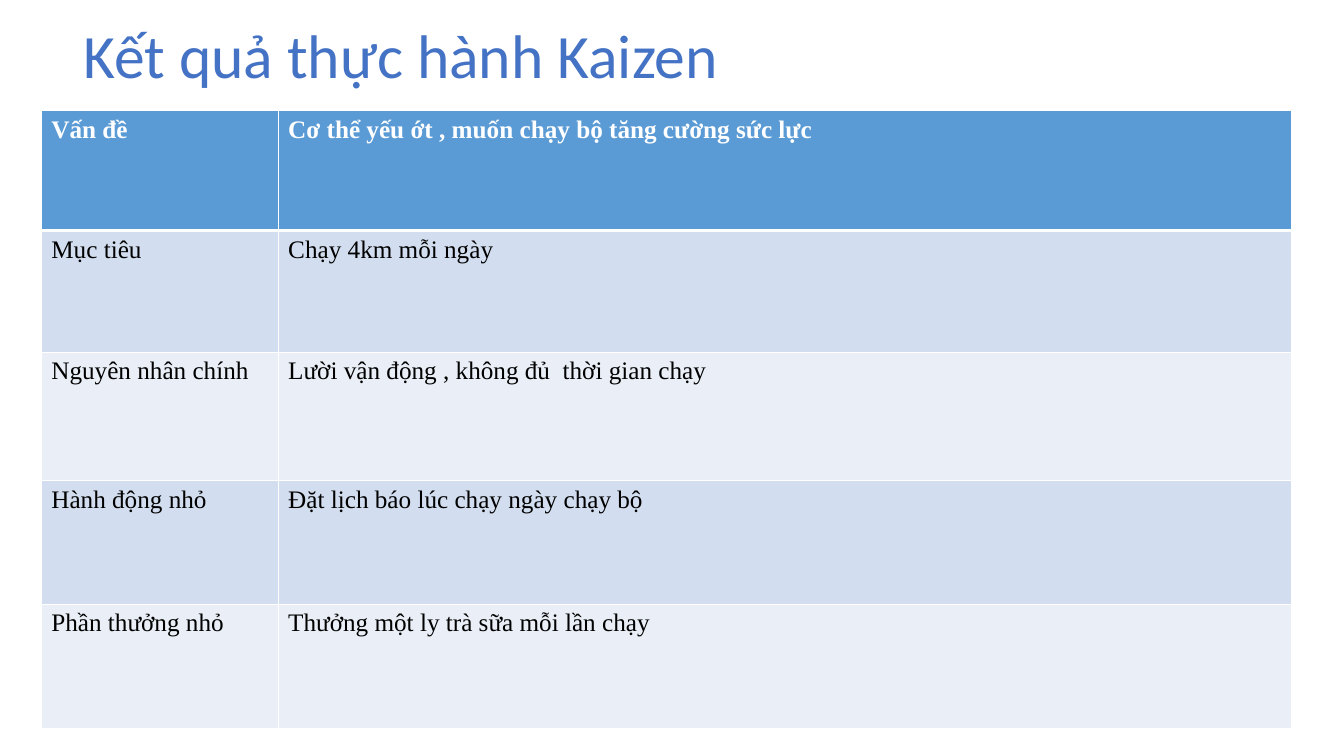
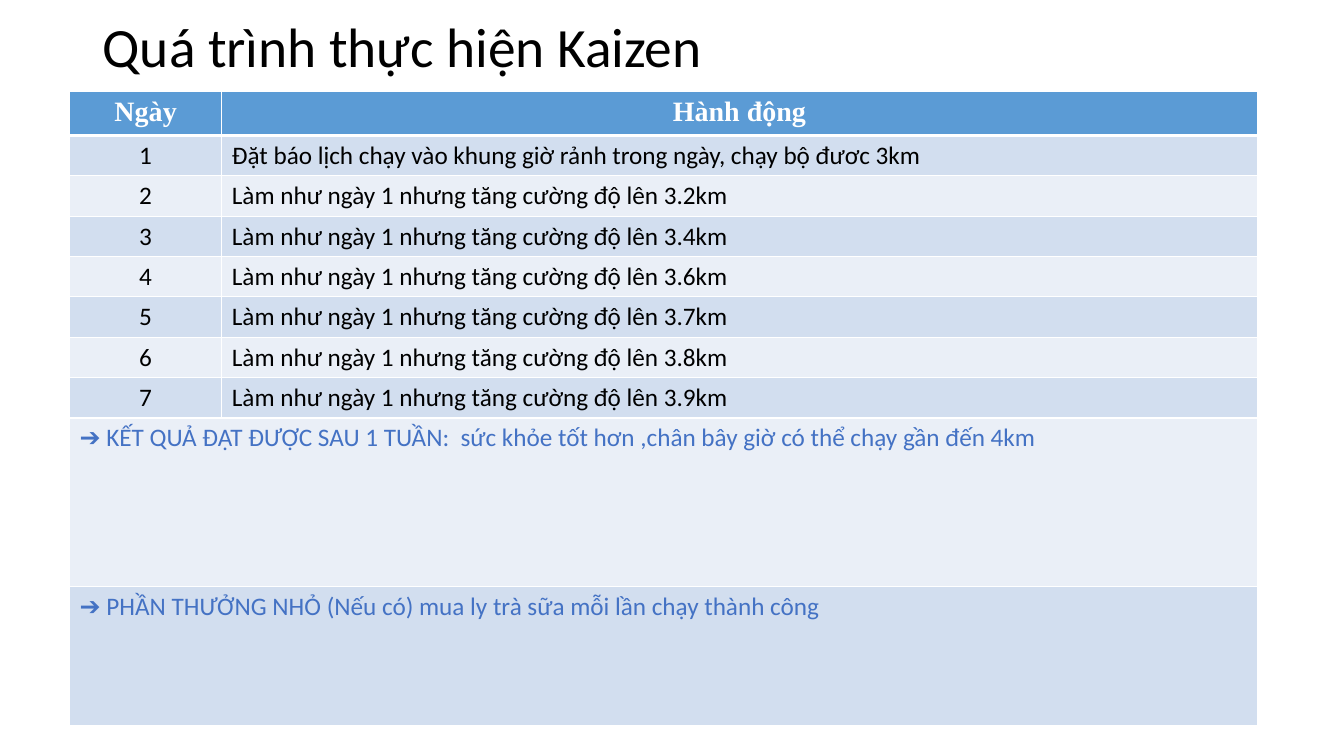
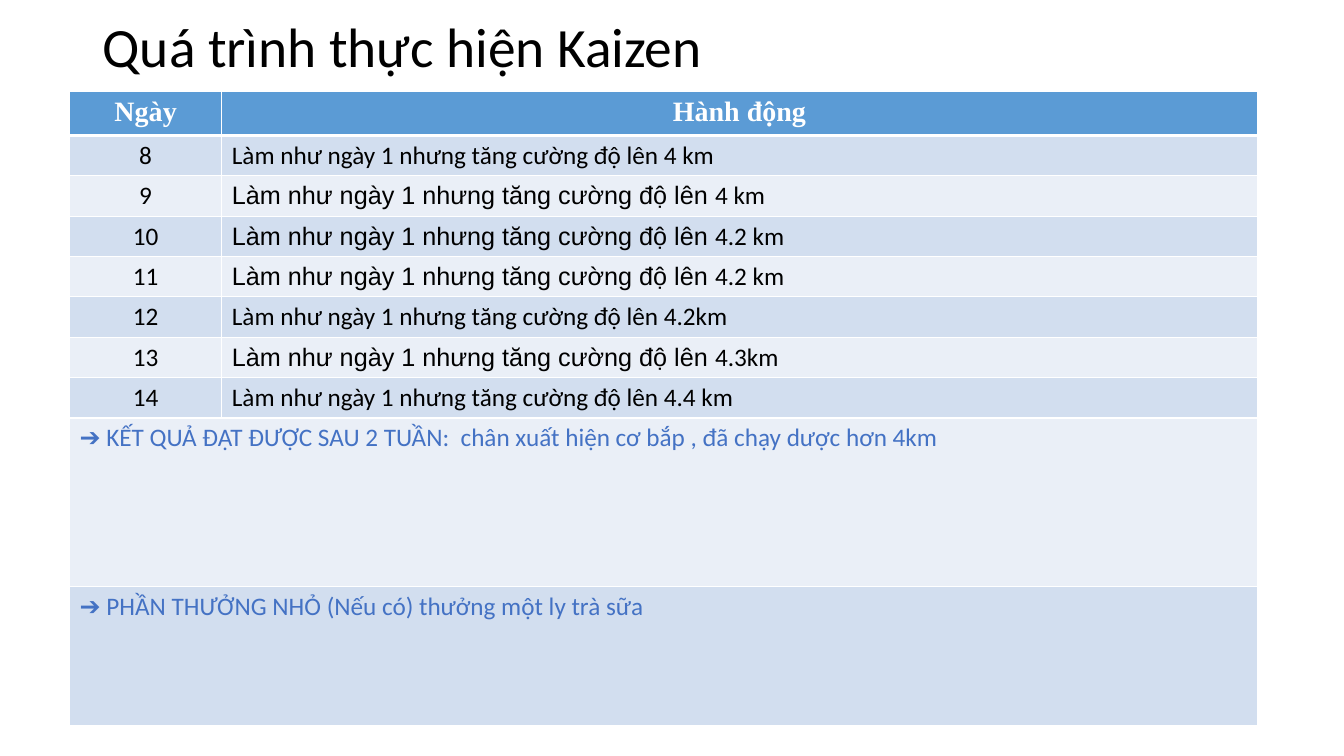
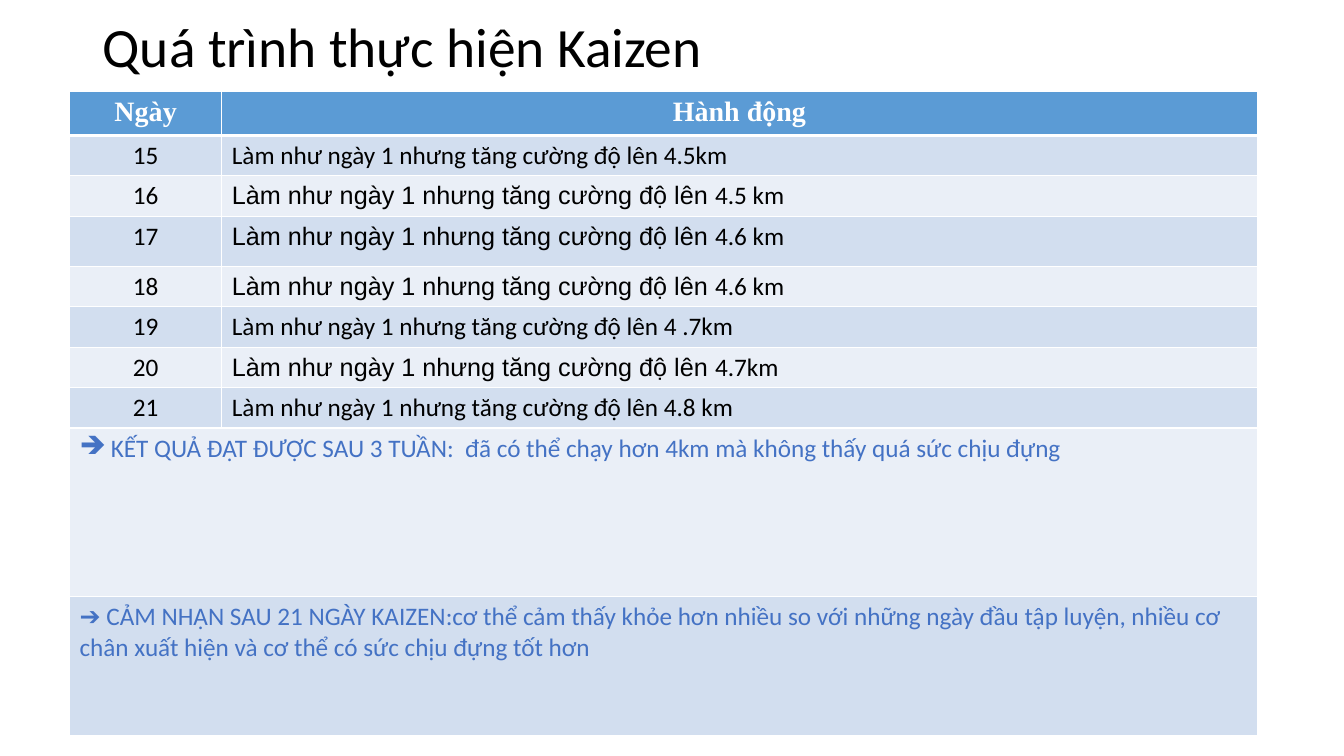
import dataclasses
import typing

import pptx
import pptx.dml.color
import pptx.enum.text
import pptx.oxml
import pptx.oxml.ns
import pptx.util

Cm = pptx.util.Cm
Pt = pptx.util.Pt
MID = pptx.enum.text.MSO_ANCHOR.MIDDLE
CENTER = pptx.enum.text.PP_ALIGN.CENTER


# Shared look
@dataclasses.dataclass(frozen=True)
class Theme:
    blue: str = "4472C4"
    head: str = "5B9BD5"
    bands: tuple[str, str] = ("D2DEEF", "EAEFF7")
    white: str = "FFFFFF"
    black: str = "000000"
    sans: str = "Calibri"
    serif: str = "Times New Roman"
    plain: str = "Arial"
    large: float = 44
    title: float = 39.6
    label: float = 20
    body: float = 18
    thin: float = 1
    thick: float = 3


THEME = Theme()


class Style(typing.NamedTuple):
    size: float
    face: str
    color: str
    bold: bool = False


class Box(typing.NamedTuple):
    left: float
    top: float
    width: float
    height: float


class Piece(typing.NamedTuple):
    text: str
    face: str = ""  # empty means the face of the style


class Entry(typing.NamedTuple):
    pieces: list[Piece]
    style: Style
    center: bool = False
    bullet: str = ""
    span: bool = False


class Row(typing.NamedTuple):
    height: float
    cells: list[Entry]


class Week(typing.NamedTuple):
    start: int
    acts: list[list[Piece]]
    result: str
    reward: str
    bullet: str = ""
    tall: int = 0  # day whose row is higher


GOAL_HEAD = Style(THEME.body, THEME.serif, THEME.white, True)
GOAL_TEXT = Style(THEME.body, THEME.serif, THEME.black)
DAY_HEAD = Style(THEME.label, THEME.serif, THEME.white, True)
DAY_TEXT = Style(THEME.body, THEME.sans, THEME.black)
NOTE = Style(THEME.body, THEME.sans, THEME.blue)


# Text and cells
def add_run(para, piece: Piece, style: Style) -> None:
    run = para.add_run()
    run.text = piece.text
    font = run.font
    font.name = piece.face or style.face
    font.size = Pt(style.size)
    font.bold = style.bold
    font.color.rgb = pptx.dml.color.RGBColor.from_string(style.color)


def add_title(slide, text: str, box: Box, style: Style) -> None:
    frame = slide.shapes.add_textbox(*map(Cm, box)).text_frame
    frame.word_wrap = True
    frame.vertical_anchor = MID
    para = frame.paragraphs[0]
    para.line_spacing = 0.9
    add_run(para, Piece(text), style)


def add_mark(para, mark: str) -> None:
    props = para._p.get_or_add_pPr()
    indent = Cm(0.79)
    props.set("marL", str(indent))
    props.set("indent", str(-indent))
    space = pptx.oxml.ns.nsdecls("a")
    props.append(pptx.oxml.parse_xml(f'<a:buChar {space} char="{mark}"/>'))


def edge_cell(cell, top: float, base: float) -> None:
    props = cell._tc.get_or_add_tcPr()
    space = pptx.oxml.ns.nsdecls("a")
    sides = {"L": THEME.thin, "R": THEME.thin, "T": top, "B": base}
    for side, width in sides.items():
        props.append(pptx.oxml.parse_xml(
            f'<a:ln{side} {space} w="{Pt(width)}"><a:solidFill>'
            f'<a:srgbClr val="{THEME.white}"/></a:solidFill></a:ln{side}>'))


def fill_cell(cell, index: int) -> None:
    edge_cell(cell, THEME.thick if index == 1 else THEME.thin,
              THEME.thick if index == 0 else THEME.thin)
    color = THEME.bands[(index - 1) % 2] if index else THEME.head
    cell.fill.solid()
    cell.fill.fore_color.rgb = pptx.dml.color.RGBColor.from_string(color)


def add_grid(slide, left: float, top: float, widths: list[float],
             rows: list[Row]) -> None:
    high = sum(row.height for row in rows)
    table = slide.shapes.add_table(
        len(rows), len(widths), Cm(left), Cm(top),
        Cm(sum(widths)), Cm(high)).table
    table.horz_banding = False
    table.first_row = False
    for col, width in zip(table.columns, widths):
        col.width = Cm(width)
    for index, row in enumerate(rows):
        table.rows[index].height = Cm(row.height)
        for col in range(len(widths)):
            fill_cell(table.cell(index, col), index)
        for col, entry in enumerate(row.cells):
            cell = table.cell(index, col)
            if entry.span:
                cell.merge(table.cell(index, len(widths) - 1))
            para = cell.text_frame.paragraphs[0]
            if entry.bullet:
                add_mark(para, entry.bullet)
            if entry.center:
                para.alignment = CENTER
            for piece in entry.pieces:
                add_run(para, piece, entry.style)


# Goal slide
GOALS = [
    (3.02, "Vấn đề", "Cơ thể yếu ớt , muốn chạy bộ tăng cường sức lực"),
    (3.07, "Mục tiêu", "Chạy 4km mỗi ngày"),
    (3.23, "Nguyên nhân chính", "Lười vận động , không đủ  thời gian chạy"),
    (3.12, "Hành động nhỏ", "Đặt lịch báo lúc chạy ngày chạy bộ"),
    (3.12, "Phần thưởng nhỏ", "Thưởng một ly trà sữa mỗi lần chạy"),
]


def draw_goals(slide) -> None:
    add_title(slide, "Kết quả thực hành Kaizen", Box(1.85, -0.36, 29.21, 3.68),
              Style(THEME.large, THEME.sans, THEME.blue))
    rows = [Row(high, [Entry([Piece(text)], GOAL_TEXT if index else GOAL_HEAD)
                       for text in texts])
            for index, (high, *texts) in enumerate(GOALS)]
    add_grid(slide, 1.04, 2.79, [5.97, 25.53], rows)


# Week slides
def more(goal: str, face: str = "") -> list[Piece]:
    lead = "Làm như ngày 1 nhưng tăng cường độ lên "
    if face:
        return [Piece(lead, face), Piece(goal)]
    return [Piece(lead + goal)]


ARIAL = THEME.plain
WEEKS = [
    Week(1,
         [[Piece("Đặt báo lịch chạy vào khung giờ rảnh trong ngày, "
                 "chạy bộ đươc 3km")],
          *map(more, ["3.2km", "3.4km", "3.6km", "3.7km", "3.8km", "3.9km"])],
         "➔ KẾT QUẢ ĐẠT ĐƯỢC SAU 1 TUẦN:  sức khỏe tốt hơn ,"
         "chân bây giờ có thể chạy gần đến 4km",
         "➔ PHẦN THƯỞNG NHỎ (Nếu có) mua ly trà sữa mỗi lần chạy thành công"),
    Week(8,
         [more("4 km"), more("4 km", ARIAL), more("4.2 km", ARIAL),
          more("4.2 km", ARIAL), more("4.2km"), more("4.3km", ARIAL),
          more("4.4 km")],
         "➔ KẾT QUẢ ĐẠT ĐƯỢC SAU 2 TUẦN:  chân xuất hiện cơ bắp , "
         "đã chạy dược hơn 4km",
         "➔ PHẦN THƯỞNG NHỎ (Nếu có) thưởng một ly trà sữa"),
    Week(15,
         [more("4.5km"), more("4.5 km", ARIAL), more("4.6 km", ARIAL),
          more("4.6 km", ARIAL), more("4 .7km"), more("4.7km", ARIAL),
          more("4.8 km")],
         "KẾT QUẢ ĐẠT ĐƯỢC SAU 3 TUẦN:  đã có thể chạy hơn 4km "
         "mà không thấy quá sức chịu đựng",
         "➔ CẢM NHẬN SAU 21 NGÀY KAIZEN:cơ thể cảm thấy khỏe hơn nhiều "
         "so với những ngày đầu tập luyện, nhiều cơ chân xuất hiện "
         "và cơ thể có sức chịu đựng tốt hơn",
         bullet="➔", tall=17),
]


def draw_week(slide, week: Week) -> None:
    add_title(slide, "Quá trình thực hiện Kaizen", Box(2.34, 0.53, 29.21, 1.42),
              Style(THEME.title, THEME.sans, THEME.black))
    rows = [Row(1.07, [Entry([Piece(text)], DAY_HEAD, center=True)
                       for text in ("Ngày", "Hành động")])]
    for day, act in enumerate(week.acts, week.start):
        rows.append(Row(1.27 if day == week.tall else 1,
                        [Entry([Piece(str(day))], DAY_TEXT, center=True),
                         Entry(act, DAY_TEXT)]))
    rows.append(Row(4.24, [Entry([Piece(week.result)], NOTE,
                                 bullet=week.bullet, span=True)]))
    rows.append(Row(3.51, [Entry([Piece(week.reward)], NOTE, span=True)]))
    add_grid(slide, 1.75, 2.31, [3.84, 26.09], rows)


# Deck
def main() -> None:
    deck = pptx.Presentation()
    deck.slide_width = Cm(33.87)
    deck.slide_height = Cm(19.05)
    blank = deck.slide_layouts[6]
    draw_goals(deck.slides.add_slide(blank))
    for week in WEEKS:
        draw_week(deck.slides.add_slide(blank), week)
    deck.save("out.pptx")


if __name__ == "__main__":
    main()
